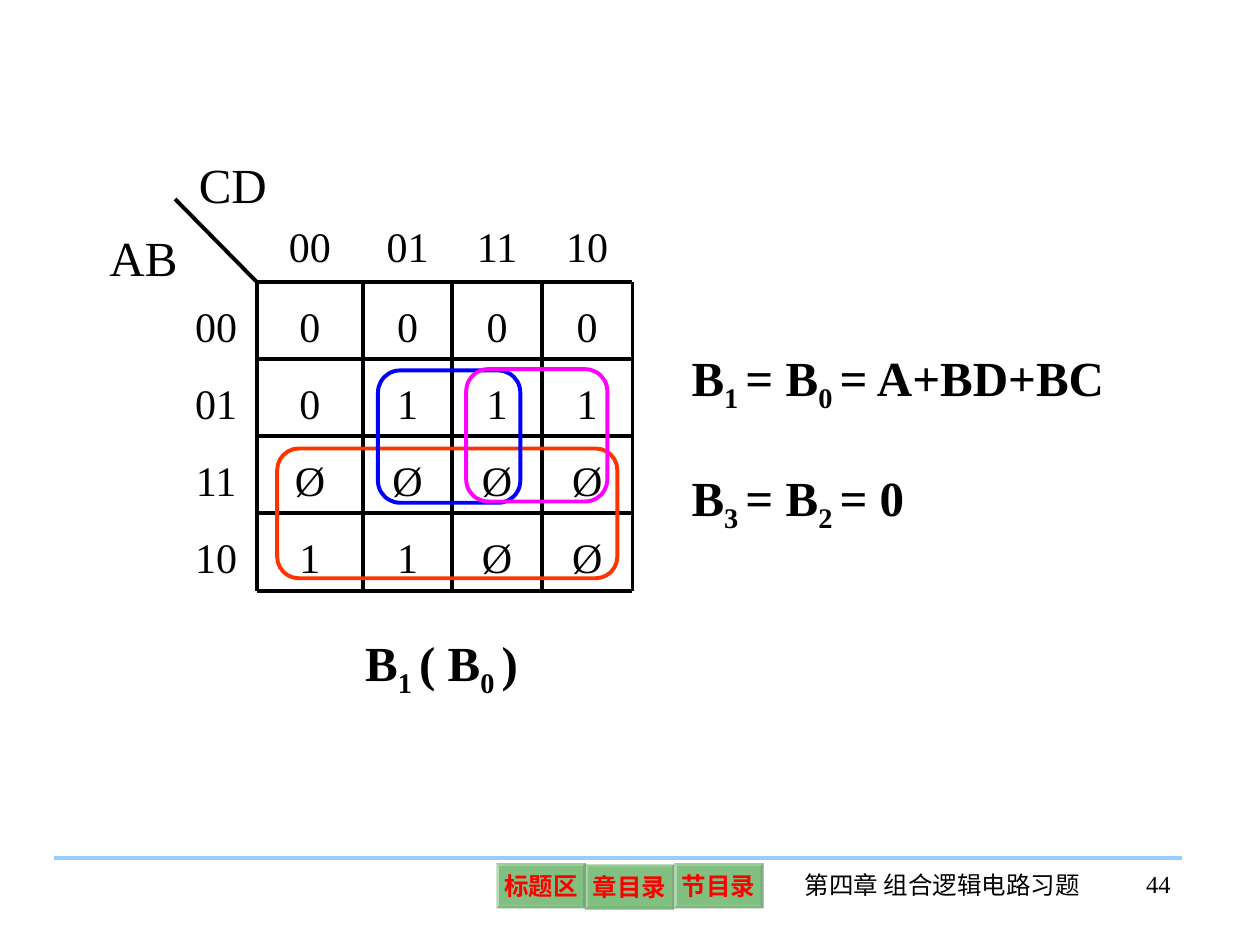
from dataclasses import dataclass
from itertools import accumulate

from lxml.etree import SubElement
from pptx import Presentation
from pptx.dml.color import RGBColor
from pptx.enum.shapes import MSO_CONNECTOR as CONN, MSO_SHAPE as SHAPE
from pptx.enum.text import MSO_ANCHOR as ANCHOR, PP_ALIGN as ALIGN
from pptx.oxml.ns import qn
from pptx.util import Inches, Pt


@dataclass(frozen=True)
class Theme:
    font: str = "Times New Roman"
    ink: str = "000000"
    rule: str = "99CCFF"
    button: str = "008000"
    button_text: str = "FF0000"
    loop_a: str = "FF3300"
    loop_bd: str = "0000FF"
    loop_bc: str = "FF00FF"
    large: int = 28
    cell: int = 24
    small: int = 14
    line: float = 2.25


class SlideBuilder:
    def __init__(self, prs, theme):
        self.theme = theme
        self.slide = prs.slides.add_slide(prs.slide_layouts[6])
        self.shapes = self.slide.shapes

    def run(self, p, text, size, color=None, bold=False, sub=False):
        r = p.add_run()
        r.text = text
        r.font.name = self.theme.font
        r.font.size = Pt(size)
        r.font.bold = bold
        r.font.color.rgb = RGBColor.from_string(color or self.theme.ink)
        if sub:
            r._r.get_or_add_rPr().set("baseline", "-25000")

    def margins(self, tf, inset):
        tf.vertical_anchor = ANCHOR.MIDDLE
        tf.margin_left = tf.margin_right = tf.margin_top = tf.margin_bottom = Inches(inset)

    def frame(self, box):
        tf = self.shapes.add_textbox(*map(Inches, box)).text_frame
        tf.word_wrap = True
        return tf

    def text(self, box, text, size, align=ALIGN.LEFT):
        p = self.frame(box).paragraphs[0]
        p.alignment = align
        self.run(p, text, size)

    def equation(self, box, parts):
        p = self.frame(box).paragraphs[0]
        for i, part in enumerate(parts):
            self.run(p, part, self.theme.large, bold=True, sub=i % 2 == 1)

    def cell(self, box, text):
        tf = self.frame(box)
        self.margins(tf, 0.02)
        p = tf.paragraphs[0]
        p.alignment = ALIGN.CENTER
        p.line_spacing = 1.2
        self.run(p, text, self.theme.cell)

    def line(self, start, end, color):
        s = self.shapes.add_connector(CONN.STRAIGHT, *map(Inches, start + end))
        s.line.color.rgb = RGBColor.from_string(color)
        s.line.width = Pt(self.theme.line)
        SubElement(s._element.spPr, qn("a:effectLst"))

    def loop(self, box, color):
        sp = self.shapes.add_shape(SHAPE.ROUNDED_RECTANGLE, *map(Inches, box))
        sp.shadow.inherit = False
        sp.fill.background()
        sp.line.color.rgb = RGBColor.from_string(color)
        sp.line.width = Pt(self.theme.line)

    def button(self, box, text):
        sp = self.shapes.add_shape(SHAPE.BEVEL, *map(Inches, box))
        sp.adjustments[0] = 0.06
        sp.shadow.inherit = False
        sp.fill.solid()
        sp.fill.fore_color.rgb = RGBColor.from_string(self.theme.button)
        rgb = sp._element.spPr.find(qn("a:solidFill")).find(qn("a:srgbClr"))
        SubElement(rgb, qn("a:alpha")).set("val", "49000")
        sp.line.fill.background()
        tf = sp.text_frame
        tf.word_wrap = False
        self.margins(tf, 0.04)
        p = tf.paragraphs[0]
        p.alignment = ALIGN.CENTER
        self.run(p, text, self.theme.small, self.theme.button_text, bold=True)

    def karnaugh_map(self, left, top, widths, heights, rows):
        xs = list(accumulate(widths, initial=left))
        ys = list(accumulate(heights, initial=top))
        for y, height, values in zip(ys, heights, rows):
            for x, width, value in zip(xs, widths, values):
                if value:
                    self.cell((x, y, width, height), value)
        self.line((xs[0], ys[0]), (xs[1], ys[1]), self.theme.ink)
        for x in xs[1:]:
            self.line((x, ys[1]), (x, ys[-1]), self.theme.ink)
        for y in ys[1:]:
            self.line((xs[1], y), (xs[-1], y), self.theme.ink)


def main():
    prs = Presentation()
    prs.slide_width, prs.slide_height = Inches(10), Inches(7.5)
    theme = Theme()
    s = SlideBuilder(prs, theme)

    s.line((0.43, 6.81), (9.38, 6.81), theme.rule)

    s.text((0.77, 1.76, 1.22, 0.57), "AB", theme.large)
    s.text((1.48, 1.18, 1.23, 0.57), "CD", theme.large)
    s.karnaugh_map(
        1.39, 1.58,
        (0.65, 0.84, 0.71, 0.71, 0.72),
        (0.66, 0.61, 0.61, 0.61, 0.62),
        (
            ("", "00", "01", "11", "10"),
            ("00", "0", "0", "0", "0"),
            ("01", "0", "1", "1", "1"),
            ("11", "Ø", "Ø", "Ø", "Ø"),
            ("10", "1", "1", "Ø", "Ø"),
        ),
    )

    s.equation((5.39, 2.71, 3.72, 0.63), ("B", "1 ", "= B", "0 ", "= A+BD+BC"))
    s.equation((2.8, 4.97, 1.72, 0.63), ("B", "1 ", "( B", "0 ", ")"))
    s.loop((2.2, 3.56, 2.7, 1.03), theme.loop_a)
    s.loop((3, 2.94, 1.13, 1.05), theme.loop_bd)
    s.loop((3.7, 2.93, 1.12, 1.05), theme.loop_bc)
    s.equation((5.39, 3.66, 2.09, 0.63), ("B", "3 ", "= B", "2 ", "= 0"))

    buttons = ((3.94, 6.85, "标题区"), (4.64, 6.86, "章目录"), (5.35, 6.85, "节目录"))
    for left, top, label in buttons:
        s.button((left, top, 0.71, 0.36), label)
    s.text((6.15, 6.86, 2.66, 0.5), "第四章 组合逻辑电路习题", theme.small, ALIGN.CENTER)
    s.text((8.53, 6.85, 0.86, 0.5), "44", theme.small, ALIGN.RIGHT)

    prs.save("out.pptx")


if __name__ == "__main__":
    main()
